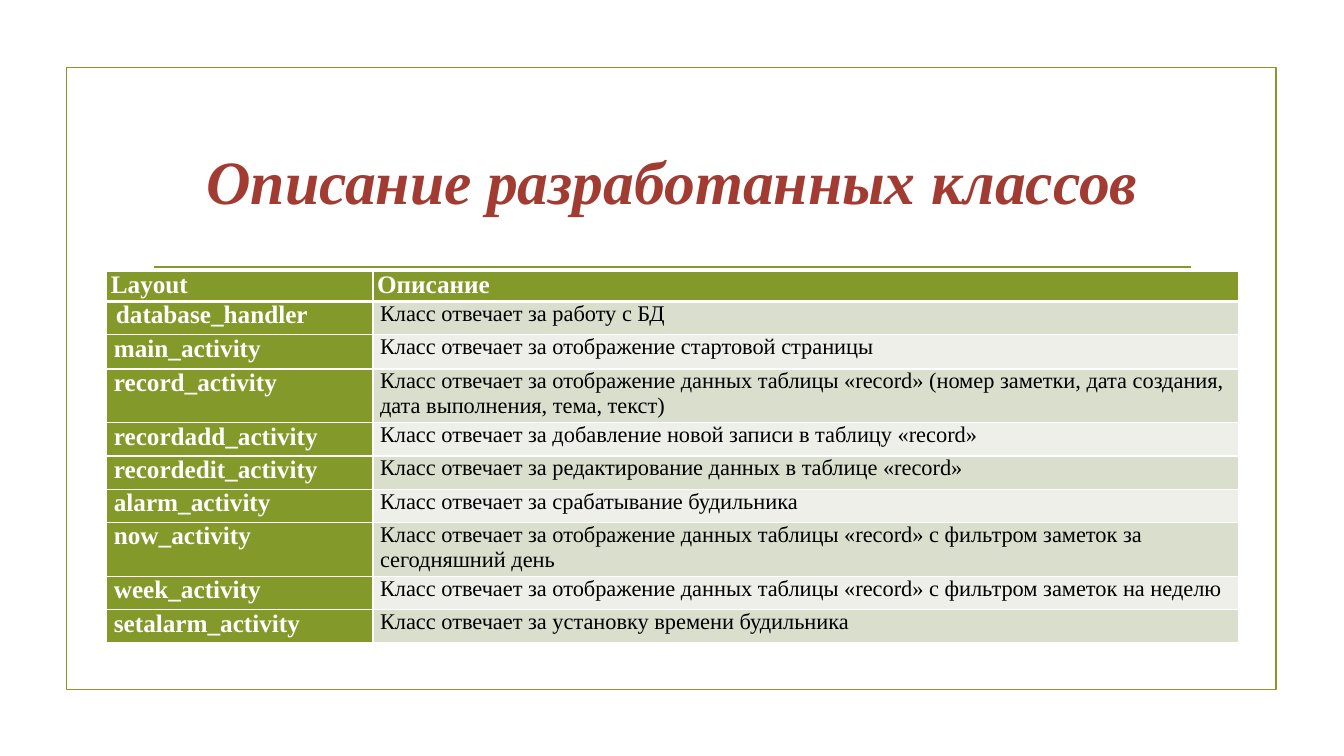
import pptx
import pptx.util
import pptx.dml.color
import pptx.enum.shapes
import pptx.enum.text
import pptx.oxml
import pptx.oxml.ns

PX = 9144
FONT = "Times New Roman"
GREEN = pptx.dml.color.RGBColor(0x83, 0x99, 0x2A)
RED = pptx.dml.color.RGBColor(0xA2, 0x3C, 0x33)
WHITE = pptx.dml.color.RGBColor(0xFF, 0xFF, 0xFF)
BLACK = pptx.dml.color.RGBColor(0x00, 0x00, 0x00)
BANDS = (
    pptx.dml.color.RGBColor(0xD9, 0xDE, 0xCD),
    pptx.dml.color.RGBColor(0xED, 0xEF, 0xE8),
)
NS = pptx.oxml.ns.nsdecls("a")
ALIGN = pptx.enum.text.PP_ALIGN

COLUMNS = (264, 859)
ROWS = (
    (15, "Layout", "Описание"),
    (33, "database_handler", "Класс отвечает за работу с БД"),
    (34, "main_activity", "Класс отвечает за отображение стартовой страницы"),
    (50, "record_activity",
     "Класс отвечает за отображение данных таблицы «record» "
     "(номер заметки, дата создания, дата выполнения, тема, текст)"),
    (33, "recordadd_activity", "Класс отвечает за добавление новой записи в таблицу «record»"),
    (33, "recordedit_activity", "Класс отвечает за редактирование данных в таблице «record»"),
    (33, "alarm_activity", "Класс отвечает за срабатывание будильника"),
    (33, "now_activity",
     "Класс отвечает за отображение данных таблицы «record» "
     "с фильтром заметок за сегодняшний день"),
    (33, "week_activity",
     "Класс отвечает за отображение данных таблицы «record» с фильтром заметок на неделю"),
    (33, "setalarm_activity", "Класс отвечает за установку времени будильника"),
)


def px(n):
    return pptx.util.Emu(n * PX)


def add_run(p, text, size, color, bold, italic=False):
    r = p.add_run()
    r.text = text
    r.font.name = FONT
    r.font.size = pptx.util.Pt(size)
    r.font.color.rgb = color
    r.font.bold = bold
    r.font.italic = italic


def add_frame(s, x, y, w, h):
    sp = s.shapes.add_shape(
        pptx.enum.shapes.MSO_SHAPE.RECTANGLE, px(x), px(y), px(w), px(h))
    sp.shadow.inherit = False
    sp.fill.background()
    sp.line.color.rgb = GREEN
    sp.line.width = pptx.util.Pt(1.25)


def add_title(s, x, y, w, h):
    sp = s.shapes.add_textbox(px(x), px(y), px(w), px(h))
    tf = sp.text_frame
    tf.word_wrap = True
    tf.vertical_anchor = pptx.enum.text.MSO_ANCHOR.MIDDLE
    p = tf.paragraphs[0]
    p.alignment = ALIGN.CENTER
    add_run(p, "Описание разработанных классов", 44, RED, True, True)
    rule_y = y + h + 15
    rule = s.shapes.add_connector(
        pptx.enum.shapes.MSO_CONNECTOR.STRAIGHT,
        px(x + 11), px(rule_y), px(x + w - 11), px(rule_y))
    rule.line.color.rgb = GREEN
    rule.line.width = pptx.util.Pt(1.25)
    rule._element.spPr.append(pptx.oxml.parse_xml(f"<a:effectLst {NS}/>"))


def add_borders(cell, top, bottom):
    tcPr = cell._tc.get_or_add_tcPr()
    for side, points in (("L", 1), ("R", 1), ("T", top), ("B", bottom)):
        tcPr.append(pptx.oxml.parse_xml(
            f'<a:ln{side} {NS} w="{points * 12700}"><a:solidFill>'
            f'<a:srgbClr val="{WHITE}"/></a:solidFill></a:ln{side}>'))


def fill_cell(cell, text, row, col):
    header = row == 0
    label = header or col == 0
    add_borders(cell, 3 if row == 1 else 1, 3 if header else 1)
    cell.fill.solid()
    cell.fill.fore_color.rgb = GREEN if label else BANDS[(row - 1) % 2]
    cell.margin_left = cell.margin_right = px(4 if header else 7)
    cell.margin_top = cell.margin_bottom = 0
    p = cell.text_frame.paragraphs[0]
    justified = header or (row == 1 and col == 0)
    p.alignment = ALIGN.JUSTIFY if justified else ALIGN.LEFT
    if row == 1 and col == 0:
        p._p.get_or_add_pPr().set("indent", str(px(2)))
    add_run(p, text, 18 if label else 16, WHITE if label else BLACK, label)


def add_class_table(s, x, y, w, h):
    frame = s.shapes.add_table(len(ROWS), len(COLUMNS), px(x), px(y), px(w), px(h))
    table = frame.table
    for column, width in zip(table.columns, COLUMNS):
        column.width = px(width)
    for i, (height, *texts) in enumerate(ROWS):
        table.rows[i].height = px(height)
        for j, text in enumerate(texts):
            fill_cell(table.cell(i, j), text, i, j)
    frame.height = px(h)


def main():
    prs = pptx.Presentation()
    prs.slide_width = pptx.util.Inches(13.33)
    prs.slide_height = pptx.util.Inches(7.5)
    s = prs.slides.add_slide(prs.slide_layouts[6])
    add_frame(s, 66, 67, 1200, 617)
    add_title(s, 142, 107, 1050, 143)
    add_class_table(s, 106, 269, sum(COLUMNS), 388)
    prs.save("out.pptx")


if __name__ == "__main__":
    main()
